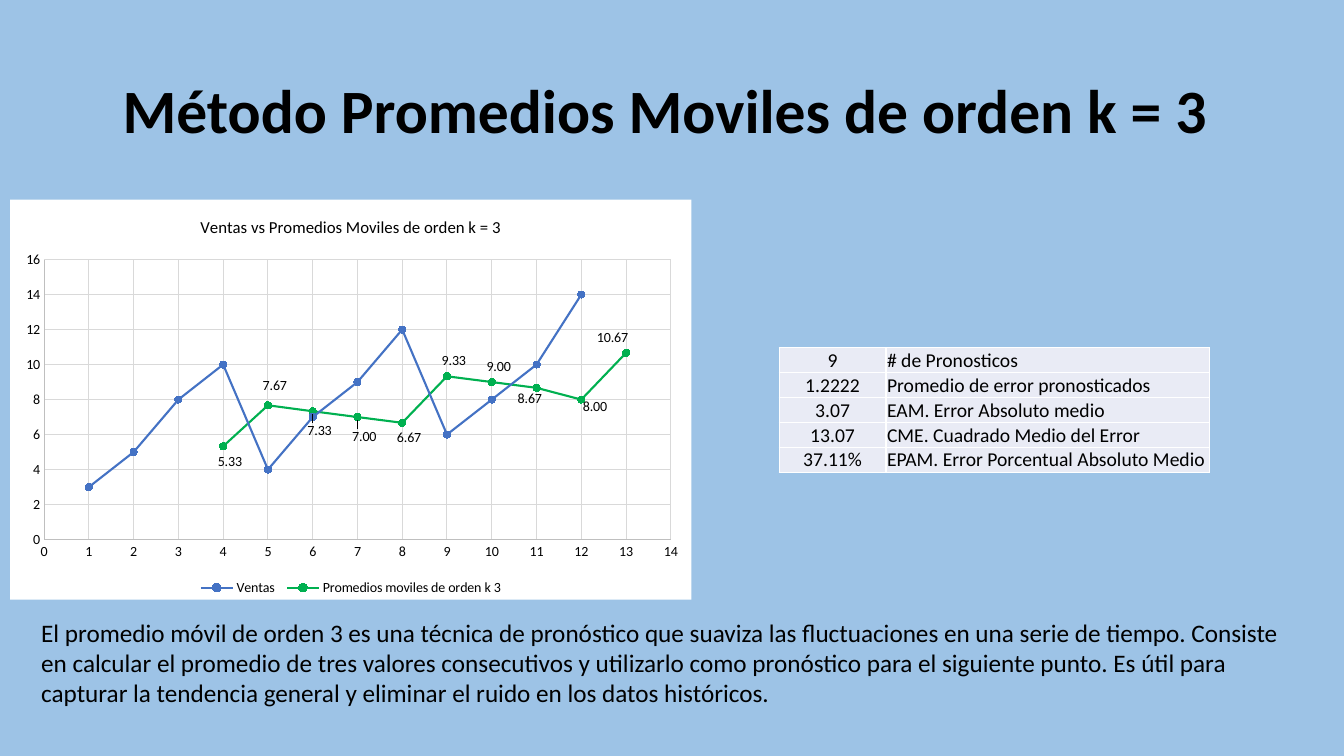
"""Build the slide on three-period moving averages: title, chart, error table and summary."""
from dataclasses import dataclass

from lxml import etree
from pptx import Presentation
from pptx import util as u
from pptx.chart.data import XyChartData
from pptx.dml.color import RGBColor
from pptx.enum import chart as ch, text
from pptx.oxml import parse_xml
from pptx.oxml.ns import nsdecls, qn

COLUMNS, ROWS = 40, 30
WIDTH, HEIGHT = u.Inches(13.333), u.Inches(7.5)


@dataclass(frozen=True)
class Theme:
    font: str = "Calibri"
    ink: str = "000000"
    back: str = "9DC3E6"
    paper: str = "FFFFFF"
    cell: str = "E9EBF5"
    grid: str = "D9D9D9"
    axis: str = "BFBFBF"
    sales: str = "4472C4"
    average: str = "00B050"
    title: int = 44
    body: int = 18
    table: int = 14
    chart_title: int = 12
    chart: int = 10


@dataclass(frozen=True)
class Box:
    col: float
    row: float
    cols: float
    rows: float

    def emu(self) -> tuple[int, int, int, int]:
        return across(self.col), down(self.row), across(self.cols), down(self.rows)


@dataclass(frozen=True)
class Series:
    name: str
    first: int
    values: tuple[float, ...]
    color: str
    fmt: str = "General"


@dataclass(frozen=True)
class Label:
    above: bool
    dx: float
    dy: float


T = Theme()
TITLE = Box(2.76, 1.6, 34.5, 5.8)
CHART = Box(0.3, 7.92, 20.28, 15.88)
TABLE = Box(23.19, 13.8, 12.81, 4.2)
BODY = Box(0.93, 24.28, 37.71, 4.04)
TABLE_COLS = (3.18, 9.63)

SERIES = (
    Series("Ventas ", 1, (3, 5, 8, 10, 4, 7, 9, 12, 6, 8, 10, 14), T.sales),
    Series("Promedios moviles de orden k 3", 4,
           (5.33, 7.67, 7.33, 7, 6.67, 9.33, 9, 8.67, 8, 10.67), T.average, "0.00"),
)
LABELS = (
    Label(False, 0.01, 0), Label(True, 0.01, -0.01), Label(False, 0.01, 0.01),
    Label(False, 0.01, 0.01), Label(False, 0.01, 0), Label(True, 0.01, 0),
    Label(True, 0.01, 0), Label(False, -0.01, -0.01), Label(False, 0.02, -0.02),
    Label(True, -0.02, 0),
)
ERRORS = (
    ("9", "# de Pronosticos"),
    ("1.2222", "Promedio de error pronosticados"),
    ("3.07", "EAM. Error Absoluto medio"),
    ("13.07", "CME. Cuadrado Medio del Error"),
    ("37.11%", "EPAM. Error Porcentual Absoluto Medio"),
)
SUMMARY = (
    "El promedio móvil de orden 3 es una técnica de pronóstico que suaviza las fluctuaciones "
    "en una serie de tiempo. Consiste en calcular el promedio de tres valores consecutivos y "
    "utilizarlo como pronóstico para el siguiente punto. Es útil para capturar la tendencia "
    "general y eliminar el ruido en los datos históricos."
)


def across(cols: float) -> int:
    return round(WIDTH * cols / COLUMNS)


def down(rows: float) -> int:
    return round(HEIGHT * rows / ROWS)


def rgb(color: str) -> RGBColor:
    return RGBColor.from_string(color)


def style_font(font, size: float, bold: bool = False) -> None:
    font.name, font.size, font.bold = T.font, u.Pt(size), bold
    font.color.rgb = rgb(T.ink)


def write(tf, words: str, *, size: float, bold: bool = False, align=None, spacing=None) -> None:
    p = tf.paragraphs[0]
    p.alignment, p.line_spacing = align, spacing
    r = p.add_run()
    r.text = words
    style_font(r.font, size, bold)


def style_line(line, color: str, width: float) -> None:
    line.color.rgb, line.width = rgb(color), u.Pt(width)


def layout(x: float, y: float, size: tuple[float, float] | None = None):
    parts = {"x": x, "y": y}
    if size:
        parts = {"layoutTarget": "inner", "xMode": "edge", "yMode": "edge",
                 **parts, "w": size[0], "h": size[1]}
    inner = "".join(f'<c:{k} val="{v}"/>' for k, v in parts.items())
    return parse_xml(f'<c:layout {nsdecls("c")}><c:manualLayout>{inner}</c:manualLayout></c:layout>')


def style_axis(axis, top: int, step: int) -> None:
    axis.minimum_scale, axis.maximum_scale, axis.major_unit = 0, top, step
    axis.major_tick_mark = axis.minor_tick_mark = ch.XL_TICK_MARK.NONE
    axis.has_major_gridlines = True
    style_line(axis.major_gridlines.format.line, T.grid, 0.75)
    style_line(axis.format.line, T.axis, 0.75)
    style_font(axis.tick_labels.font, T.chart)
    axis.tick_labels.number_format, axis.tick_labels.number_format_is_linked = "0", False


def style_series(series, color: str) -> None:
    series.smooth = False
    style_line(series.format.line, color, 1.5)
    marker = series.marker
    marker.style, marker.size = ch.XL_MARKER_STYLE.CIRCLE, 5
    marker.format.fill.solid()
    marker.format.fill.fore_color.rgb = rgb(color)
    style_line(marker.format.line, color, 0.75)


def add_labels(chart, series) -> None:
    for i, label in enumerate(LABELS):
        data_label = series.points[i].data_label
        style_font(data_label.font, T.chart)
        data_label.position = (ch.XL_LABEL_POSITION.ABOVE if label.above
                               else ch.XL_LABEL_POSITION.BELOW)
    for node, label in zip(chart.element.xpath(".//c:dLbl"), LABELS):
        node.insert(1, layout(label.dx, label.dy))
        node.insert(2, parse_xml(f'<c:numFmt {nsdecls("c")} formatCode="0.00" sourceLinked="0"/>'))


def add_chart(s) -> None:
    data = XyChartData()
    for item in SERIES:
        series = data.add_series(item.name, number_format=item.fmt)
        for x, y in enumerate(item.values, item.first):
            series.add_data_point(x, y)
    chart = s.shapes.add_chart(ch.XL_CHART_TYPE.XY_SCATTER_LINES, *CHART.emu(), data).chart
    style_font(chart.font, T.chart)
    write(chart.chart_title.text_frame, "Ventas vs Promedios Moviles de orden k = 3",
          size=T.chart_title)
    chart.chart_title.include_in_layout = False
    chart.has_legend = True
    chart.legend.position = ch.XL_LEGEND_POSITION.BOTTOM
    chart.legend.include_in_layout = False
    style_font(chart.legend.font, T.chart)
    style_axis(chart.category_axis, 14, 1)
    style_axis(chart.value_axis, 16, 2)
    plot = chart.plots[0]
    plot.vary_by_categories = False
    for series, item in zip(plot.series, SERIES):
        style_series(series, item.color)
    add_labels(chart, plot.series[1])
    area = chart.element.xpath(".//c:plotArea")[0]
    for old in area.findall(qn("c:layout")):
        area.remove(old)
    area.insert(0, layout(0.05, 0.15, (0.92, 0.7)))
    chart.element.find(qn("c:chart")).addnext(parse_xml(
        f'<c:spPr {nsdecls("c", "a")}><a:solidFill><a:srgbClr val="{T.paper}"/></a:solidFill>'
        '<a:ln><a:noFill/></a:ln></c:spPr>'))


def add_borders(cell) -> None:
    props = cell._tc.get_or_add_tcPr()
    for i, side in enumerate(("lnL", "lnR", "lnT", "lnB")):
        line = etree.Element(qn(f"a:{side}"), w=str(u.Pt(1)))
        fill = etree.SubElement(line, qn("a:solidFill"))
        etree.SubElement(fill, qn("a:srgbClr"), val=T.paper)
        props.insert(i, line)


def add_table(s) -> None:
    table = s.shapes.add_table(len(ERRORS), len(TABLE_COLS), *TABLE.emu()).table
    table.first_row = table.horz_banding = False
    for column, cols in zip(table.columns, TABLE_COLS):
        column.width = across(cols)
    for i, row in enumerate(ERRORS):
        for j, words in enumerate(row):
            cell = table.cell(i, j)
            cell.margin_left = cell.margin_right = cell.margin_top = u.Inches(0.01)
            cell.margin_bottom = 0
            cell.vertical_anchor = text.MSO_ANCHOR.BOTTOM
            cell.fill.solid()
            cell.fill.fore_color.rgb = rgb(T.cell)
            write(cell.text_frame, words, size=T.table,
                  align=text.PP_ALIGN.LEFT if j else text.PP_ALIGN.CENTER)
            add_borders(cell)


def main() -> None:
    prs = Presentation()
    prs.slide_width, prs.slide_height = WIDTH, HEIGHT
    s = prs.slides.add_slide(prs.slide_layouts[5])
    s.background.fill.solid()
    s.background.fill.fore_color.rgb = rgb(T.back)
    title = s.shapes.title
    title.left, title.top, title.width, title.height = TITLE.emu()
    title.text_frame.vertical_anchor = text.MSO_ANCHOR.MIDDLE
    write(title.text_frame, "Método Promedios Moviles de orden k = 3 ", size=T.title,
          bold=True, align=text.PP_ALIGN.CENTER, spacing=0.9)
    add_chart(s)
    add_table(s)
    tf = s.shapes.add_textbox(*BODY.emu()).text_frame
    tf.word_wrap = True
    write(tf, SUMMARY, size=T.body)
    prs.save("out.pptx")


if __name__ == "__main__":
    main()
